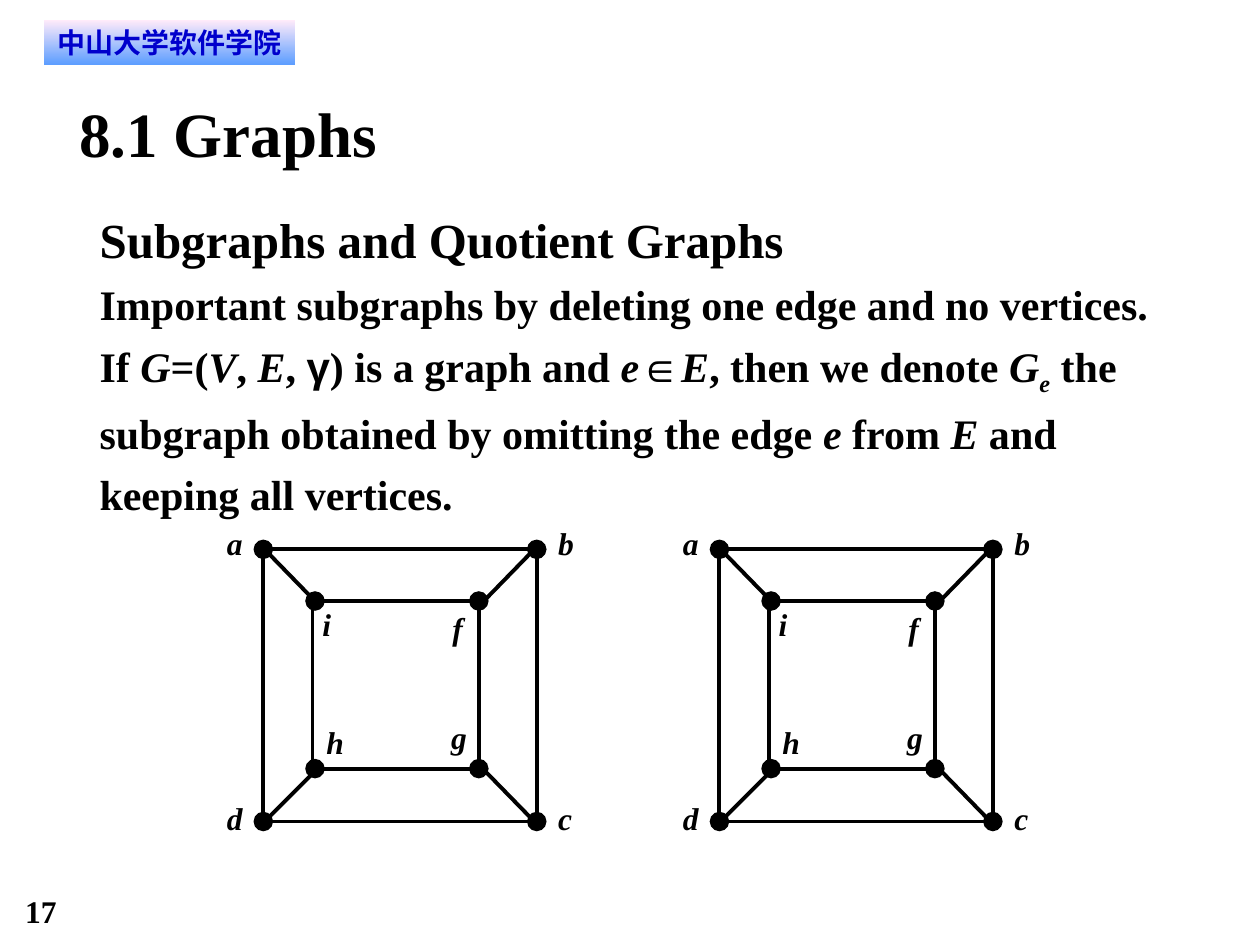
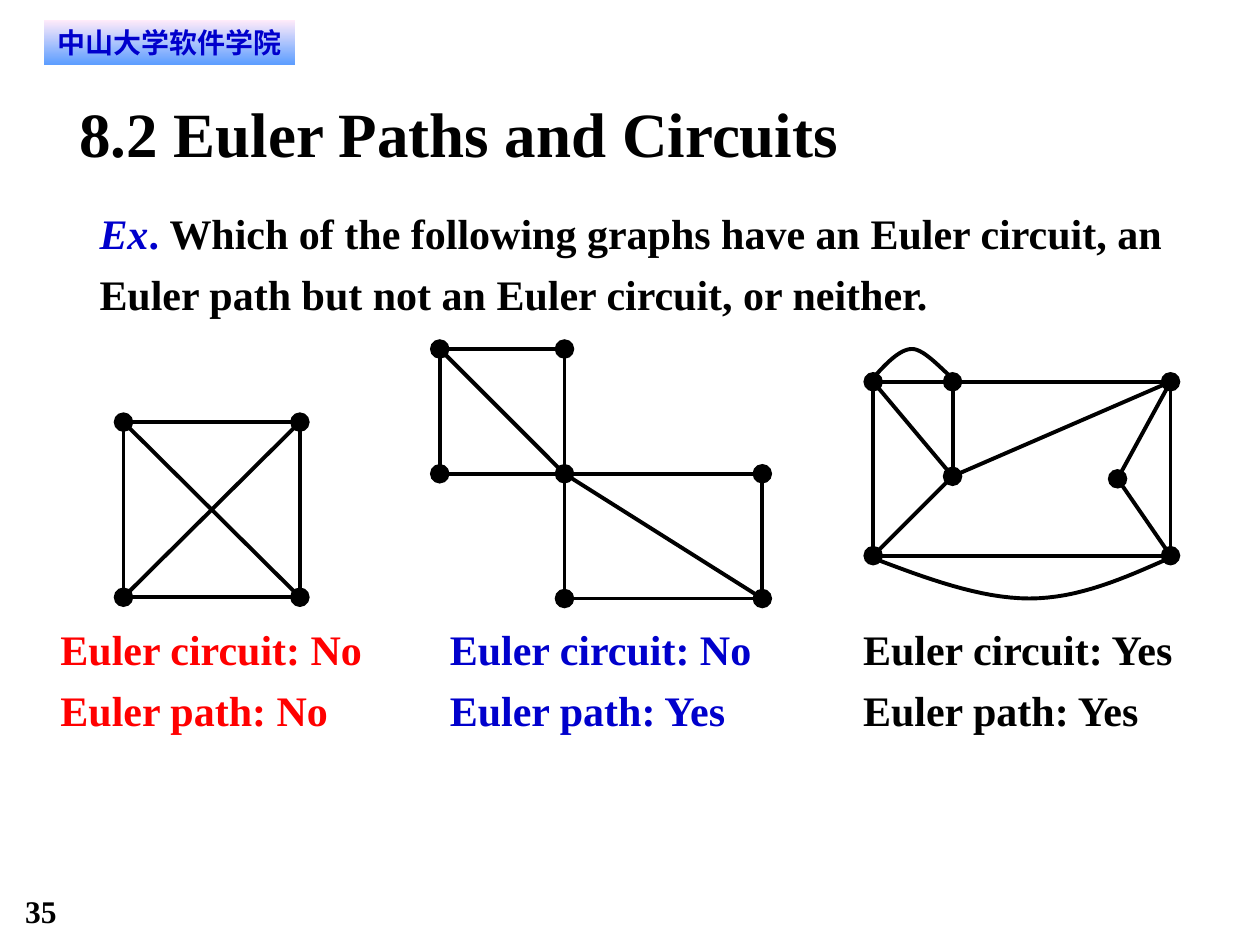
from pptx import Presentation
from pptx import util as u
from pptx.dml.color import RGBColor
from pptx.enum import shapes, text
from pptx.oxml import ns
from lxml import etree

BLACK, BLUE, RED = "000000", "0000CC", "FF0000"
PINK, SKY = "FFEBFA", "5E9EFF"
SERIF, SANS, HAN = "Times New Roman", "Arial", "DejaVu Sans"


def hue(code):
    return RGBColor.from_string(code)


def sub(node, tag, **attrs):
    return etree.SubElement(node, ns.qn(tag), **attrs)


def style(run, size=24, color=BLACK, face=SERIF, italic=False, base=0):
    font = run.font
    font.size, font.bold, font.italic = u.Pt(size), True, italic
    font.color.rgb = hue(color)
    font.name = face
    props = run._r.get_or_add_rPr()
    sub(props, "a:ea", typeface=face)
    if base:
        props.set("baseline", str(base * 1000))


def write(frame, paras, pad=(0, 0), wrap=True, space=None, align=None,
          anchor=text.MSO_ANCHOR.TOP, **form):
    frame.auto_size = text.MSO_AUTO_SIZE.NONE
    frame.word_wrap, frame.vertical_anchor = wrap, anchor
    frame.margin_left = frame.margin_right = u.Inches(pad[0])
    frame.margin_top = frame.margin_bottom = u.Inches(pad[1])
    for n, runs in enumerate(paras):
        para = frame.add_paragraph() if n else frame.paragraphs[0]
        para.line_spacing, para.alignment = space, align
        for words, extra in [(runs, {})] if isinstance(runs, str) else runs:
            run = para.add_run()
            run.text = words
            style(run, **{**form, **extra})


def curve(start, *parts, steps=16):
    points = [start]
    for one, two, end in parts:
        start = points[-1]
        for n in range(1, steps + 1):
            t = n / steps
            s = 1 - t
            points.append(tuple(
                s**3 * a + 3 * s * s * t * b + 3 * s * t * t * c + t**3 * d
                for a, b, c, d in zip(start, one, two, end)))
    return points


class Deck:
    width = u.Pt(2.25)

    def __init__(self):
        self.show = Presentation()
        self.show.slide_width, self.show.slide_height = u.Inches(10), u.Inches(7.5)

    def slide(self, title, page):
        self.page = self.show.slides.add_slide(self.show.slide_layouts[5])
        self.tree = self.page.shapes
        head = self.tree.title
        head.left, head.top, head.width, head.height = map(
            u.Inches, (0.63, 0.75, 8.75, 0.6))
        write(head.text_frame, [title], size=36, align=text.PP_ALIGN.LEFT)
        self.label((0.2, 7.08, 0.75, 0.3), [str(page)], size=18)
        self.band()

    def band(self):
        box = self.tree.add_shape(shapes.MSO_SHAPE.RECTANGLE,
                                  *map(u.Inches, (0.35, 0.16, 1.99, 0.35)))
        box.shadow.inherit = False
        box.line.fill.background()
        box.fill.gradient()
        box.fill.gradient_angle = 270
        for stop, color in zip(box.fill.gradient_stops, (PINK, SKY)):
            stop.color.rgb = hue(color)
        write(box.text_frame, ["中山大学软件学院"], pad=(0.08, 0.04), size=16,
              color=BLUE, face=HAN, align=text.PP_ALIGN.CENTER,
              anchor=text.MSO_ANCHOR.MIDDLE)

    def group(self):
        self.tree = self.page.shapes.add_group_shape().shapes

    def label(self, place, paras, **form):
        box = self.tree.add_textbox(*map(u.Inches, place))
        write(box.text_frame, paras, **form)

    def ink(self, shape):
        shape.line.color.rgb = hue(BLACK)
        shape.line.width = self.width

    def edge(self, start, end, dots=""):
        line = self.tree.add_connector(shapes.MSO_CONNECTOR.STRAIGHT,
                                       *map(u.Inches, (*start, *end)))
        self.ink(line)
        for tag in ("head", "tail"):
            if tag[0] in dots:
                sub(line.line._get_or_add_ln(), f"a:{tag}End",
                    type="oval", w="lg", len="lg")
        sub(line._element.spPr, "a:effectLst")

    def graph(self, nodes, edges):
        for item in edges.split():
            ends, _, dots = item.partition(":")
            self.edge(nodes[ends[0]], nodes[ends[1]], dots)

    def arc(self, points):
        spots = [(u.Inches(x), u.Inches(y)) for x, y in points]
        pen = self.tree.build_freeform(*spots[0])
        pen.add_line_segments(spots[1:], close=False)
        arc = pen.convert_to_shape()
        arc.shadow.inherit = False
        arc.fill.background()
        self.ink(arc)


CUBE = [
    (2.48, 4.73, 2.48, 6.03, ""), (3.8, 6.09, 3.8, 4.79, ""),
    (2.5, 4.77, 3.8, 4.77, "ht"), (2.5, 6.1, 3.8, 6.1, "ht"),
    (2.1, 4.36, 2.49, 4.76, ""), (3.86, 6.13, 4.25, 6.53, ""),
    (4.24, 4.36, 3.85, 4.76, ""), (2.49, 6.13, 2.09, 6.53, ""),
    (2.09, 4.36, 2.09, 6.52, ""), (4.26, 6.52, 4.26, 4.36, ""),
    (2.09, 4.36, 4.26, 4.36, "ht"), (2.09, 6.52, 4.26, 6.52, "ht"),
]
NAMES = {"a": (1.8, 4.16), "b": (4.43, 4.16), "c": (4.43, 6.34), "d": (1.8, 6.34),
         "h": (2.59, 5.74), "i": (2.56, 4.8), "f": (3.59, 4.83), "g": (3.58, 5.7)}


def cube(deck, shift):
    deck.group()
    for x, y, right, low, dots in CUBE:
        deck.edge((x + shift, y), (right + shift, low), dots)
    for name, (x, y) in NAMES.items():
        deck.label((x + shift, y, 0.14, 0.3), [name], size=18, italic=True, wrap=False)


def graphs(deck):
    deck.slide("8.1 Graphs", 17)
    slant, sans = {"italic": True}, {"face": SANS}
    deck.label((0.79, 1.57, 8.71, 3.03), [
        [("Subgraphs and Quotient Graphs", {"size": 28})],
        "Important subgraphs by deleting one edge and no vertices.",
        [("If ", {}), ("G", slant), ("=(", {}), ("V", slant), (", ", {}),
         ("E", slant), (", ", {}), ("γ", sans), (") is a graph and ", {}),
         ("e", slant), ("∈", sans), ("E", slant), (", then we denote ", {}),
         ("G", slant), ("e", {"italic": True, "base": -25}),
         (" the subgraph obtained by omitting the edge ", {}), ("e", slant),
         (" from ", {}), ("E", slant), (" and keeping all vertices.", {})],
    ], space=1.2)
    for shift in (0, 3.62):
        cube(deck, shift)


def euler(deck):
    deck.slide("8.2 Euler Paths and Circuits", 35)
    deck.label((0.79, 1.57, 8.7, 0.96), [[
        ("Ex", {"color": BLUE, "italic": True}), (". ", {"color": BLUE}),
        ("Which of the following graphs have an Euler circuit, an Euler path "
         "but not an Euler circuit, or neither.", {})]], space=1.2)
    for x, color, tour, trail in ((0.48, RED, "No", "No"),
                                  (3.57, BLUE, "No", "Yes"),
                                  (6.85, BLACK, "Yes", "Yes")):
        deck.label((x, 4.87, 2.52, 1.44),
                   [f"Euler circuit: {tour}", f"Euler path: {trail}"],
                   color=color, space=1.2)

    deck.group()
    deck.graph({"a": (0.98, 3.35), "b": (2.38, 3.35),
                "c": (2.38, 4.74), "d": (0.98, 4.74)},
               "ad:ht cb:ht ab dc ac bd")

    deck.group()
    deck.graph({"a": (3.49, 2.77), "b": (4.48, 2.77), "c": (3.49, 3.76),
                "m": (4.48, 3.76), "e": (6.05, 3.76),
                "f": (4.48, 4.75), "g": (6.05, 4.75)},
               "ac:ht mb:ht ab cm mf ge me:t fg:ht am mg")

    deck.group()
    deck.graph({"a": (6.93, 3.03), "b": (7.56, 3.03), "c": (9.29, 3.03),
                "d": (6.93, 4.41), "e": (9.29, 4.41),
                "m": (7.56, 3.78), "n": (8.87, 3.8)},
               "ad ec ac:ht de:ht am dm mb:ht nc:h ne mc")
    deck.arc(curve((6.93, 3), ((7.03, 2.89), (7.14, 2.77), (7.24, 2.77)),
                   ((7.34, 2.77), (7.5, 2.96), (7.56, 3))))
    deck.arc(curve((6.93, 4.43), ((7.35, 4.59), (7.78, 4.75), (8.17, 4.75)),
                   ((8.56, 4.75), (8.92, 4.59), (9.28, 4.43))))


def main():
    deck = Deck()
    graphs(deck)
    euler(deck)
    deck.show.save("out.pptx")


if __name__ == "__main__":
    main()
